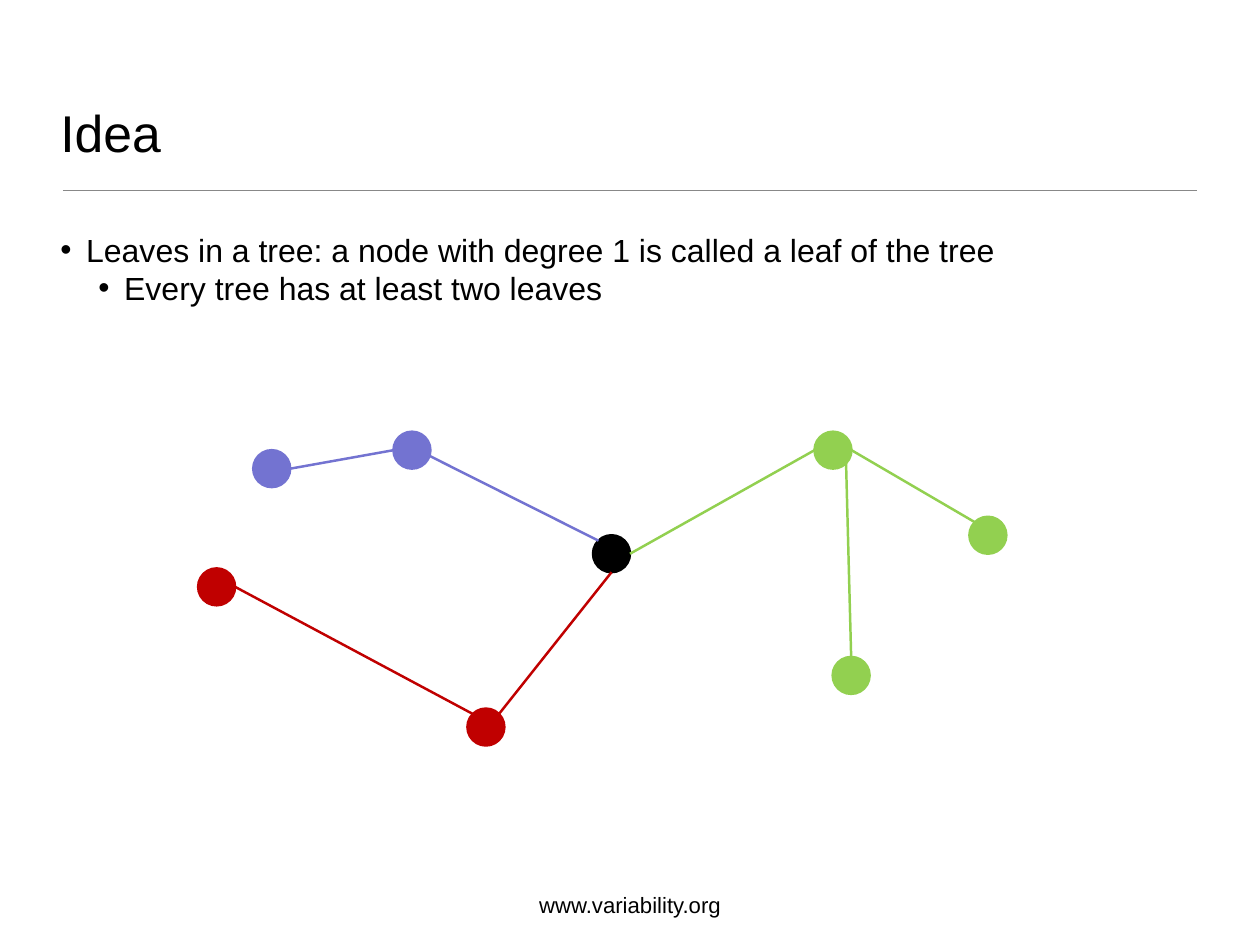
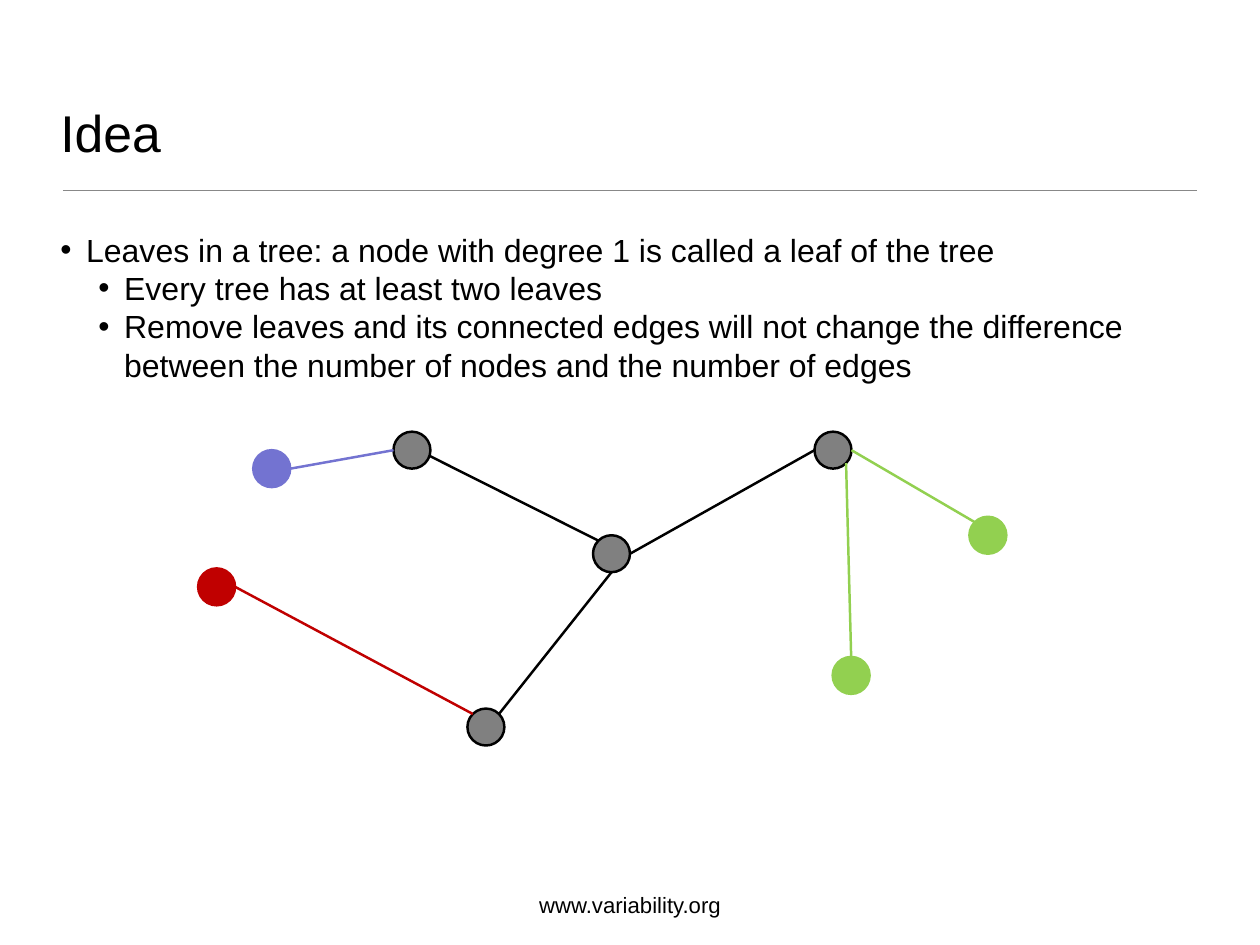
from math import cos, radians, sin

from lxml import etree
from pptx import Presentation
from pptx.dml.color import RGBColor
from pptx.enum.shapes import MSO_CONNECTOR, MSO_SHAPE
from pptx.enum.text import MSO_ANCHOR, PP_ALIGN
from pptx.oxml.ns import qn
from pptx.util import Cm, Pt

STRAIGHT = MSO_CONNECTOR.STRAIGHT
OVAL = MSO_SHAPE.OVAL
TOP, BOTTOM = MSO_ANCHOR.TOP, MSO_ANCHOR.BOTTOM
LEFT, CENTER = PP_ALIGN.LEFT, PP_ALIGN.CENTER

FONT = "Arial"
BLACK, GREY, RULE = "000000", "808080", "888888"
BLUE, RED, GREEN = "7373D1", "C00000", "92D050"

# Boxes: left, top, width, height in cm
TITLE_BOX = (1.58, 0.93, 32.94, 3.89)
BODY_BOX = (1.58, 6.45, 32.94, 18.24)
FOOTER_BOX = (15.38, 25.3, 5.36, 1.02)
TREE_ORIGIN = (5.69, 12.4)
RULE_LEFT, RULE_RIGHT, RULE_Y = 1.8, 34.32, 5.46

INSET = 0.15
HANGING = 0.74
LEVEL_INDENT = (0.74, 1.83)
NODE_SIZE = 1.06

# Node centres relative to the tree's origin, with branch colours
NODES = {
    "blue leaf": (2.1, 1.04, BLUE),
    "blue hub": (6.12, 0.51, BLUE),
    "red leaf": (0.52, 4.43, RED),
    "root": (11.84, 3.48, BLACK),
    "red hub": (8.24, 8.45, RED),
    "green hub": (18.19, 0.51, GREEN),
    "low leaf": (18.71, 6.97, GREEN),
    "right leaf": (22.63, 2.95, GREEN),
}
# Child, its angle, parent, its angle (degrees, clockwise from the right)
EDGES = [
    ("blue leaf", 0, "blue hub", 180),
    ("blue hub", 18, "root", 225),
    ("red leaf", 0, "red hub", 225),
    ("red hub", 315, "root", 90),
    ("green hub", 180, "root", 0),
    ("right leaf", 225, "green hub", 0),
    ("low leaf", 270, "green hub", 45),
]
INNER_NODES = {parent for _, _, parent, _ in EDGES}

LEAF_POINTS = [
    (0, "Leaves in a tree: a node with degree 1 is called a leaf of the tree"),
    (1, "Every tree has at least two leaves"),
]
REMOVAL_POINT = (1, "Remove leaves and its connected edges will not change the "
                    "difference between the number of nodes and the number of edges")


def rgb(hex_color):
    return RGBColor.from_string(hex_color)


def add_line(slide, start, end, color, width):
    line = slide.shapes.add_connector(STRAIGHT, *map(Cm, (*start, *end)))
    line.line.color.rgb = rgb(color)
    line.line.width = Pt(width)
    etree.SubElement(line._element.spPr, qn("a:effectLst"))


def add_text(slide, box, lines, size, anchor=TOP, align=LEFT, inset=INSET):
    """Add a text box with one paragraph per line and return its paragraphs."""
    tf = slide.shapes.add_textbox(*map(Cm, box)).text_frame
    tf.word_wrap = True
    tf.vertical_anchor = anchor
    tf.margin_left = tf.margin_right = tf.margin_top = tf.margin_bottom = Cm(inset)
    tf.text = "\n".join(lines)
    for p in tf.paragraphs:
        p.alignment = align
        for r in p.runs:
            r.font.name = FONT
            r.font.size = Pt(size)
            r.font.color.rgb = rgb(BLACK)
    return tf.paragraphs


def add_bullet(p, level):
    p.level = level
    pPr = p._p.get_or_add_pPr()
    pPr.set("marL", str(Cm(LEVEL_INDENT[level])))
    pPr.set("indent", str(-Cm(HANGING)))
    bu_color = etree.SubElement(pPr, qn("a:buClr"))
    etree.SubElement(bu_color, qn("a:srgbClr"), val=BLACK)
    etree.SubElement(pPr, qn("a:buFont"), typeface=FONT)
    etree.SubElement(pPr, qn("a:buChar"), char="•")


def add_body(slide, box, points):
    paragraphs = add_text(slide, box, [text for _, text in points], 26)
    for p, (level, _) in zip(paragraphs, points):
        add_bullet(p, level)


def add_tree(slide, origin, grey_inner):
    """Draw the tree; each edge takes the outline colour of its child."""
    x0, y0 = origin
    radius = NODE_SIZE / 2
    outlines = {}
    for name, (x, y, color) in NODES.items():
        fill, outline = color, color
        if grey_inner and name in INNER_NODES:
            fill, outline = GREY, BLACK
        outlines[name] = outline
        sp = slide.shapes.add_shape(OVAL, Cm(x0 + x - radius), Cm(y0 + y - radius),
                                    Cm(NODE_SIZE), Cm(NODE_SIZE))
        sp.shadow.inherit = False
        sp.fill.solid()
        sp.fill.fore_color.rgb = rgb(fill)
        sp.line.color.rgb = rgb(outline)
        sp.line.width = Pt(2)

    def rim(name, angle):
        x, y, _ = NODES[name]
        return (x0 + x + radius * cos(radians(angle)),
                y0 + y + radius * sin(radians(angle)))

    for child, child_angle, parent, parent_angle in EDGES:
        add_line(slide, rim(child, child_angle), rim(parent, parent_angle),
                 outlines[child], 2)


def add_idea_slide(prs, points, grey_inner):
    slide = prs.slides.add_slide(prs.slide_layouts[6])
    add_line(slide, (RULE_LEFT, RULE_Y), (RULE_RIGHT, RULE_Y), RULE, 1)
    add_text(slide, FOOTER_BOX, ["www.variability.org"], 18, BOTTOM, CENTER, 0)
    add_text(slide, TITLE_BOX, ["Idea"], 42, BOTTOM)
    add_body(slide, BODY_BOX, points)
    add_tree(slide, TREE_ORIGIN, grey_inner)


def main():
    prs = Presentation()
    prs.slide_width, prs.slide_height = Cm(36.12), Cm(27.1)
    add_idea_slide(prs, LEAF_POINTS, grey_inner=False)
    add_idea_slide(prs, LEAF_POINTS + [REMOVAL_POINT], grey_inner=True)
    prs.save("out.pptx")


if __name__ == "__main__":
    main()
